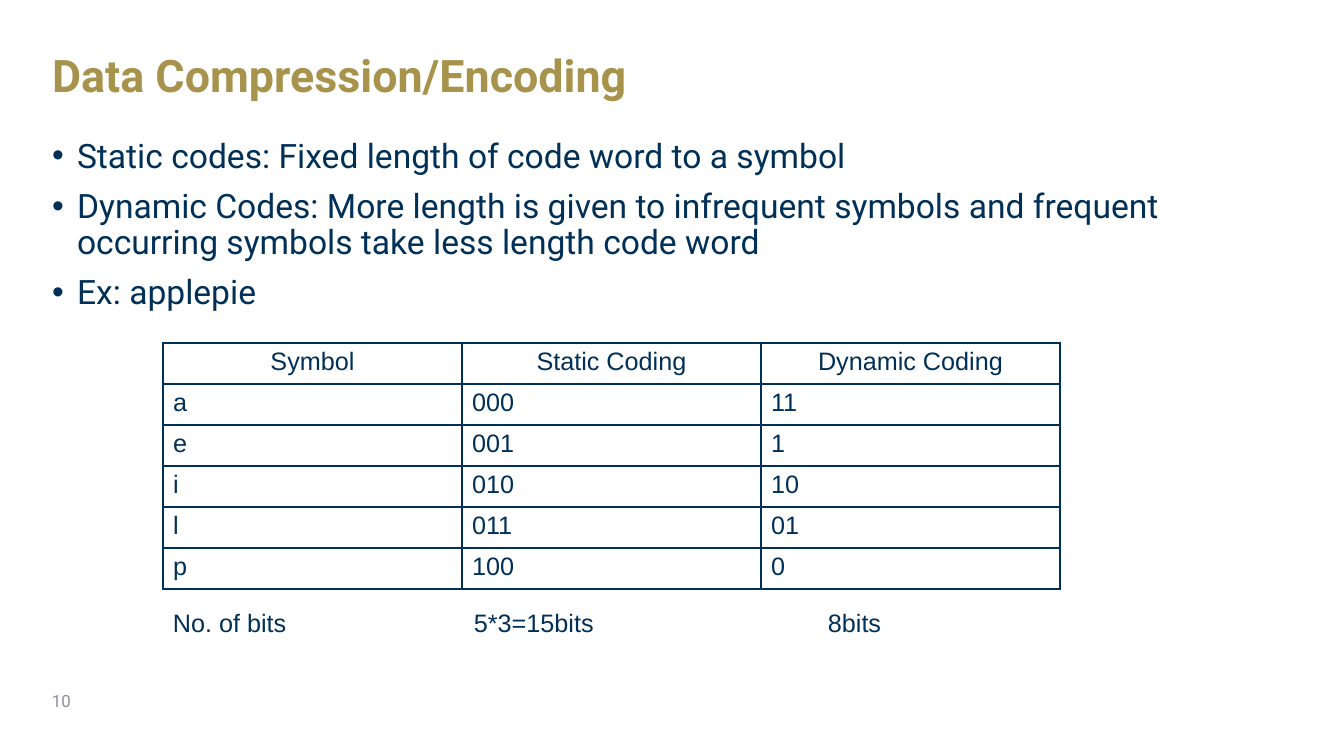
from lxml.etree import SubElement as Sub
from pptx import Presentation
from pptx.dml.color import RGBColor
from pptx.enum.text import MSO_ANCHOR as Anchor, MSO_AUTO_SIZE as Auto, PP_ALIGN as Align
from pptx.oxml.ns import qn
from pptx.util import Emu, Pt

# Content
TITLE = "Data Compression/Encoding"
POINTS = [
    "Static codes: Fixed length of code word to a symbol",
    "Dynamic Codes: More length is given to infrequent symbols and frequent "
    "occurring symbols take less length code word",
    "Ex: applepie",
]
CODES = [
    ("Symbol", "Static Coding", "Dynamic Coding"),
    ("a", "000", "11"),
    ("e", "001", "1"),
    ("i", "010", "10"),
    ("l", "011", "01"),
    ("p", "100", "0"),
]
TOTALS = ("No. of bits", "5*3=15bits", "8bits")
PAGE = "10"

# Look
NAVY = RGBColor(0x00, 0x30, 0x57)
GOLD = RGBColor(0xA7, 0x93, 0x4B)
GRAY = RGBColor(0x8C, 0x8F, 0x9A)
HEAD, BODY = "Roboto", "Arial"

# Places in px: left, top, width, height
SIZE = (1344, 756)
TITLE_BOX = (42, 22, 1260, 112)
LIST_BOX = (42, 134, 1260, 466)
GRID = (163, 343, 897, 246)
TOTAL_BOX = (163, 602, 897, 40)
PAGE_BOX = (42, 681, 101, 40)
TABS = (301, 655)
HANG = 25


def px(n):
    return Emu(round(n * 914400 / 100.8))


def place(shape, box):
    shape.left, shape.top, shape.width, shape.height = map(px, box)


def style(para, font, size, color, bold=False):
    for run in para.runs:
        run.font.name, run.font.size, run.font.bold = font, Pt(size), bold
        run.font.color.rgb = color


def frame(shape, box, text, anchor=Anchor.TOP):
    place(shape, box)
    tf = shape.text_frame
    tf.text = text
    tf.word_wrap, tf.auto_size, tf.vertical_anchor = True, Auto.NONE, anchor
    return tf


def border(cell):
    props = cell._tc.get_or_add_tcPr()
    for side in ("a:lnL", "a:lnR", "a:lnT", "a:lnB"):
        line = Sub(props, qn(side), w=str(Pt(1)))
        fill = Sub(line, qn("a:solidFill"))
        Sub(fill, qn("a:srgbClr"), val=str(NAVY))


deck = Presentation()
deck.slide_width, deck.slide_height = map(px, SIZE)
slide = deck.slides.add_slide(deck.slide_layouts[1])
shapes = slide.shapes

# Title
para = frame(shapes.title, TITLE_BOX, TITLE, Anchor.MIDDLE).paragraphs[0]
para.alignment, para.line_spacing = Align.LEFT, 0.9
style(para, HEAD, 32, GOLD, True)

# Bullet list
tf = frame(slide.placeholders[1], LIST_BOX, "\n".join(POINTS))
for i, para in enumerate(tf.paragraphs):
    props = para._p.get_or_add_pPr()
    props.set("marL", str(px(HANG)))
    props.set("indent", str(-px(HANG)))
    Sub(props, qn("a:buFont"), typeface=BODY)
    Sub(props, qn("a:buChar"), char="•")
    para.line_spacing, para.space_before = 0.9, Pt(10 if i else 0)
    style(para, HEAD, 24, NAVY)

# Code table
table = shapes.add_table(len(CODES), len(CODES[0]), *map(px, GRID)).table
table.first_row = table.horz_banding = False
for col in table.columns:
    col.width = px(GRID[2] / len(CODES[0]))
for r, row in enumerate(CODES):
    table.rows[r].height = px(GRID[3] / len(CODES))
    for c, text in enumerate(row):
        cell = table.cell(r, c)
        cell.text = text
        border(cell)
        cell.fill.background()
        para = cell.text_frame.paragraphs[0]
        para.alignment = Align.LEFT if r else Align.CENTER
        style(para, BODY, 18, NAVY)

# Bit totals, lined up by tab stops
box = shapes.add_textbox(0, 0, 0, 0)
para = frame(box, TOTAL_BOX, "\t".join(TOTALS)).paragraphs[0]
stops = Sub(para._p.get_or_add_pPr(), qn("a:tabLst"))
for tab in TABS:
    Sub(stops, qn("a:tab"), pos=str(px(tab)), algn="l")
style(para, BODY, 18, NAVY)

# Page number
box = shapes.add_textbox(0, 0, 0, 0)
para = frame(box, PAGE_BOX, PAGE, Anchor.MIDDLE).paragraphs[0]
style(para, HEAD, 12, GRAY)

deck.save("out.pptx")
